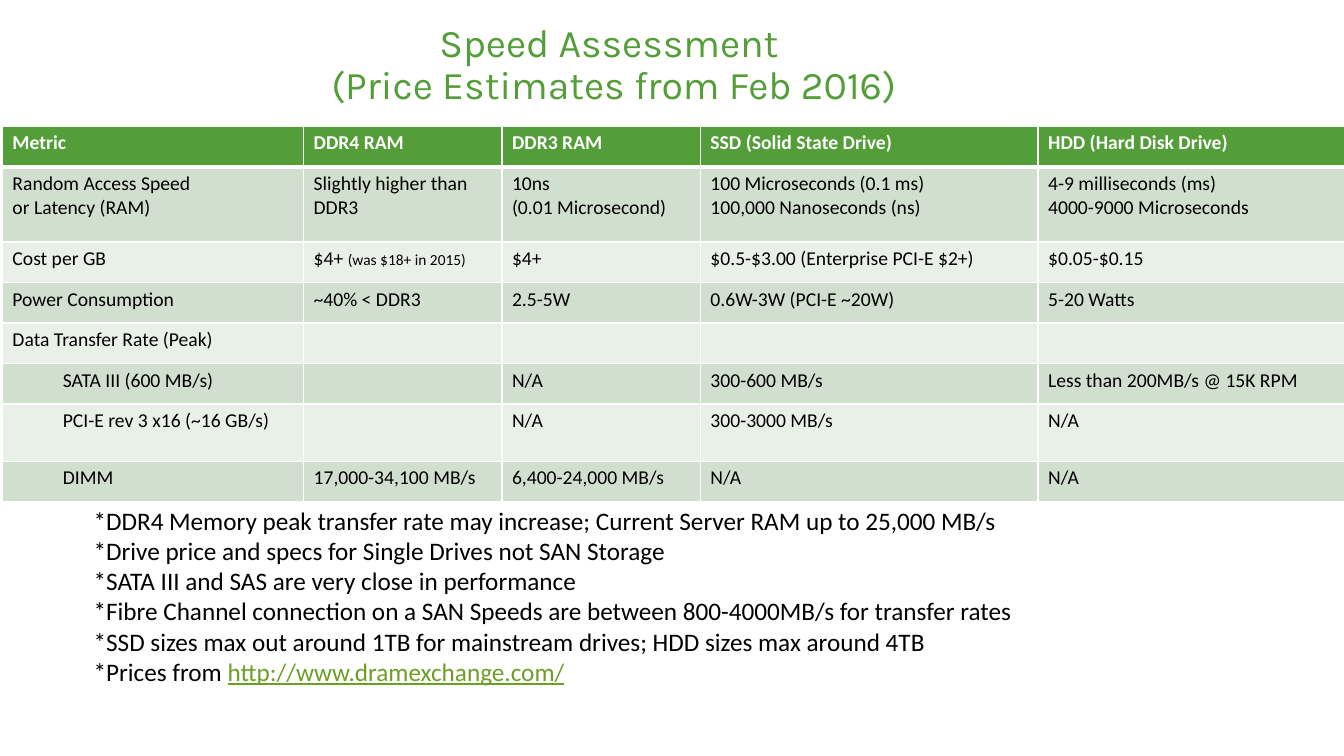
from dataclasses import dataclass

from lxml import etree
from pptx import Presentation
from pptx.dml.color import RGBColor
from pptx.enum import text
from pptx.oxml import ns
from pptx.util import Cm, Pt

HUES = {
    "green": "549E39",
    "dark": "D1DFCE",
    "pale": "E9F0E8",
    "white": "FFFFFF",
    "black": "000000",
    "link": "6B9F25",
}
BODY = "Calibri"
WIDTHS = (7.59, 5, 5, 8.51, 7.77)
SIDES = ("L", "R", "T", "B")


@dataclass
class Row:
    cells: tuple[str, ...]
    high: float = 1.02
    inset: bool = False


ROWS = (
    Row(("Metric", "DDR4 RAM", "DDR3 RAM", "SSD (Solid State Drive)",
         "HDD (Hard Disk Drive)")),
    Row(("Random Access Speed\vor Latency (RAM)", "Slightly higher than DDR3",
         "10ns\n(0.01 Microsecond)",
         "100 Microseconds (0.1 ms)\v100,000 Nanoseconds (ns)",
         "4-9 milliseconds (ms)\v4000-9000 Microseconds"), high=1.9),
    Row(("Cost per GB", "$4+ |(was $18+ in 2015)", "$4+",
         "$0.5-$3.00 (Enterprise PCI-E $2+)", "$0.05-$0.15")),
    Row(("Power Consumption", "~40% < DDR3", "2.5-5W",
         "0.6W-3W (PCI-E ~20W)", "5-20 Watts")),
    Row(("Data Transfer Rate (Peak)", "", "", "", "")),
    Row(("SATA III (600 MB/s)", "", "N/A", "300-600 MB/s",
         "Less than 200MB/s @ 15K RPM"), inset=True),
    Row(("PCI-E rev 3 x16 (~16 GB/s)", "", "N/A", "300-3000 MB/s", "N/A"),
        high=1.44, inset=True),
    Row(("DIMM", "17,000-34,100 MB/s", "6,400-24,000 MB/s", "N/A", "N/A"),
        inset=True),
)

NOTES = (
    "*DDR4 Memory peak transfer rate may increase; Current Server RAM up to 25,000 MB/s",
    "*Drive price and specs for Single Drives not SAN Storage",
    "*SATA III and SAS are very close in performance",
    "*Fibre Channel connection on a SAN Speeds are between 800-4000MB/s for transfer rates",
    "*SSD sizes max out around 1TB for mainstream drives; HDD sizes max around 4TB",
    "*Prices from ",
)
SITE = "http://www.dramexchange.com/"


def paint(font, size: float, hue: str, face: str = BODY, bold: bool = False) -> None:
    font.name, font.size, font.bold = face, Pt(size), bold
    font.color.rgb = RGBColor.from_string(HUES[hue])


def edge(cell, head: bool) -> None:
    """Draw white cell borders, with a thick one under the header."""
    props = cell._tc.get_or_add_tcPr()
    for spot, side in enumerate(SIDES):
        wide = 3 if head and side == "B" else 1
        line = etree.Element(ns.qn(f"a:ln{side}"), w=str(Pt(wide)))
        fill = etree.SubElement(line, ns.qn("a:solidFill"))
        etree.SubElement(fill, ns.qn("a:srgbClr"), val=HUES["white"])
        props.insert(spot, line)


def write(cell, words: str, head: bool) -> None:
    """Fill a cell; words after a bar are set small."""
    main, _, small = words.partition("|")
    cell.text = main
    hue = "white" if head else "black"
    for para in cell.text_frame.paragraphs:
        if small:
            paint(para.runs[0].font, 14, hue)
            run = para.add_run()
            run.text = small
            paint(run.font, 11, hue)
        else:
            paint(para.font, 14, hue, bold=head)


def grid(slide) -> None:
    high = sum(row.high for row in ROWS)
    table = slide.shapes.add_table(len(ROWS), len(WIDTHS), Cm(0.06), Cm(3.18),
                                   Cm(sum(WIDTHS)), Cm(high)).table
    for col, wide in zip(table.columns, WIDTHS):
        col.width = Cm(wide)
    for r, row in enumerate(ROWS):
        head = r == 0
        table.rows[r].height = Cm(row.high)
        tone = "green" if head else "dark" if r % 2 else "pale"
        for c, words in enumerate(row.cells):
            cell = table.cell(r, c)
            write(cell, words, head)
            cell.fill.solid()
            cell.fill.fore_color.rgb = RGBColor.from_string(HUES[tone])
            edge(cell, head)
        if row.inset:
            props = table.cell(r, 0).text_frame.paragraphs[0]._p.get_or_add_pPr()
            props.set("marL", str(Cm(1.27)))


def frame(slide, left: float, top: float, wide: float, high: float):
    box = slide.shapes.add_textbox(Cm(left), Cm(top), Cm(wide), Cm(high))
    box.text_frame.word_wrap = True
    return box.text_frame


def title(slide) -> None:
    area = frame(slide, 0.86, 0.64, 29.21, 2.03)
    area.vertical_anchor = text.MSO_ANCHOR.MIDDLE
    area.text = "Speed Assessment \v(Price Estimates from Feb 2016)"
    para = area.paragraphs[0]
    para.alignment = text.PP_ALIGN.CENTER
    para.line_spacing = 0.9
    paint(para.font, 28, "green", "Karla")


def notes(slide) -> None:
    area = frame(slide, 2.11, 12.6, 32.44, 4.88)
    area.text = "\n".join(NOTES)
    *plain, last = area.paragraphs
    for para in plain:
        paint(para.font, 18, "black")
    paint(last.runs[0].font, 18, "black")
    site = last.add_run()
    site.text = SITE
    paint(site.font, 18, "link")
    site.font.underline = True


def main() -> None:
    deck = Presentation()
    deck.slide_width, deck.slide_height = Cm(33.87), Cm(19.05)
    slide = deck.slides.add_slide(deck.slide_layouts[6])
    title(slide)
    grid(slide)
    notes(slide)
    deck.save("out.pptx")


if __name__ == "__main__":
    main()
